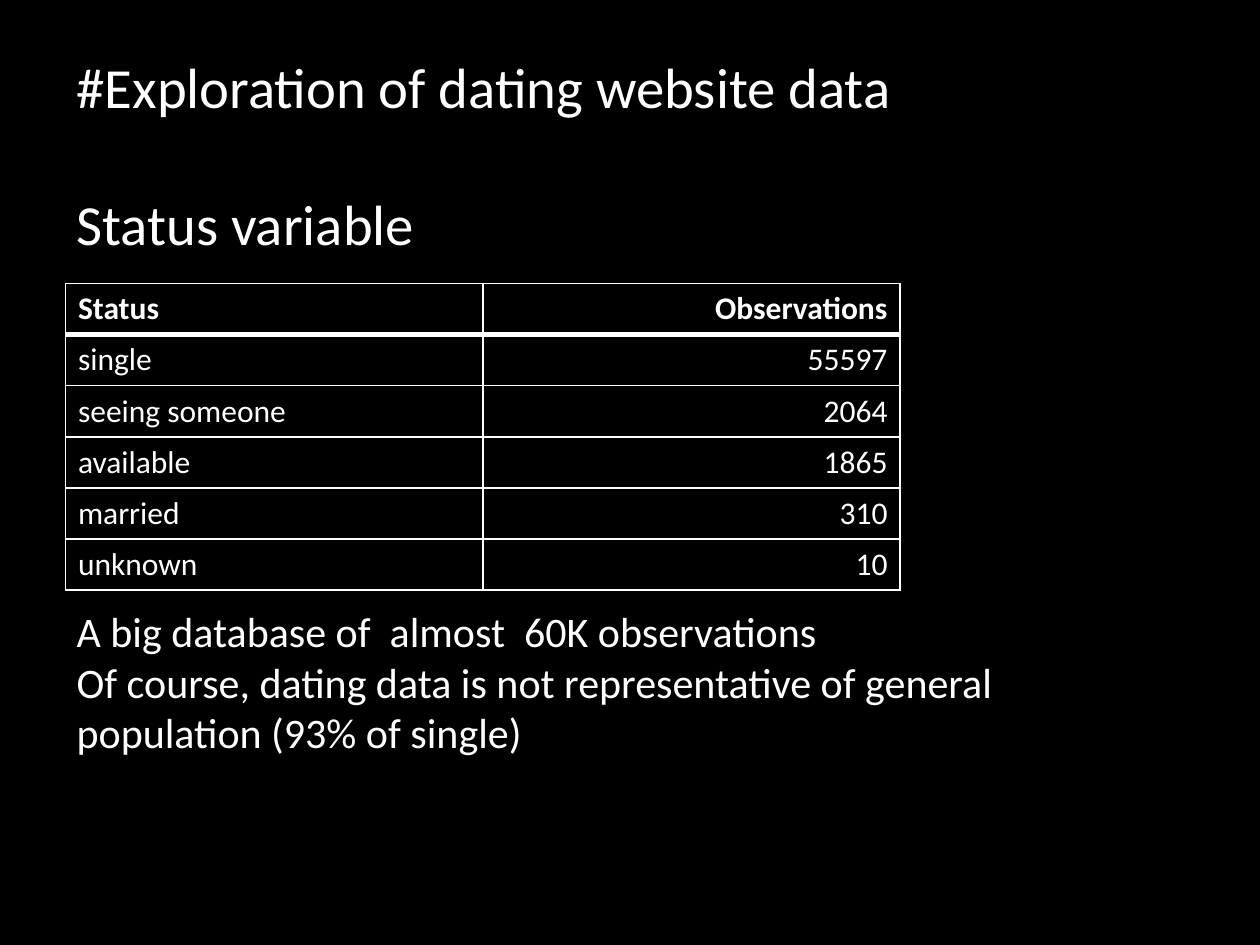
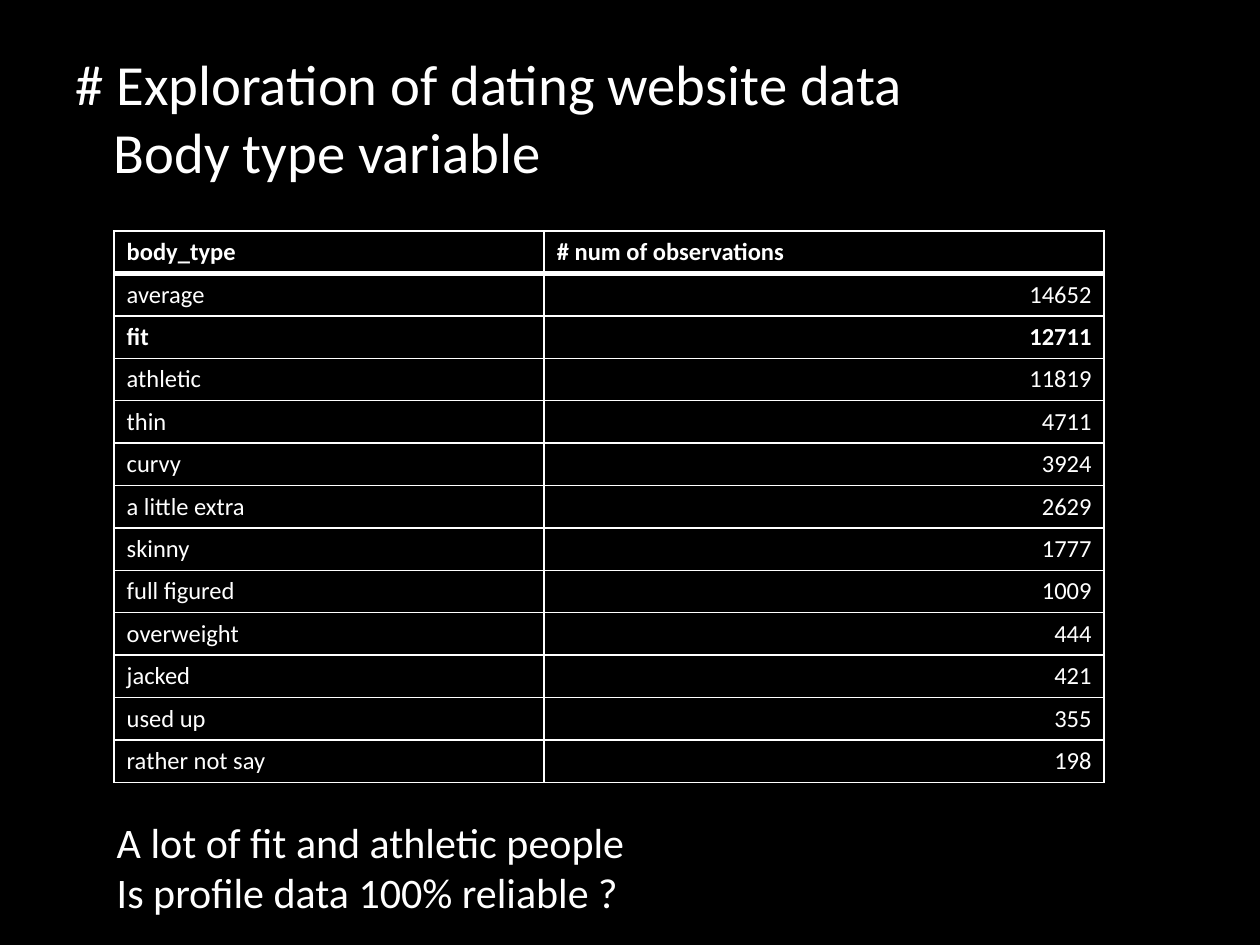
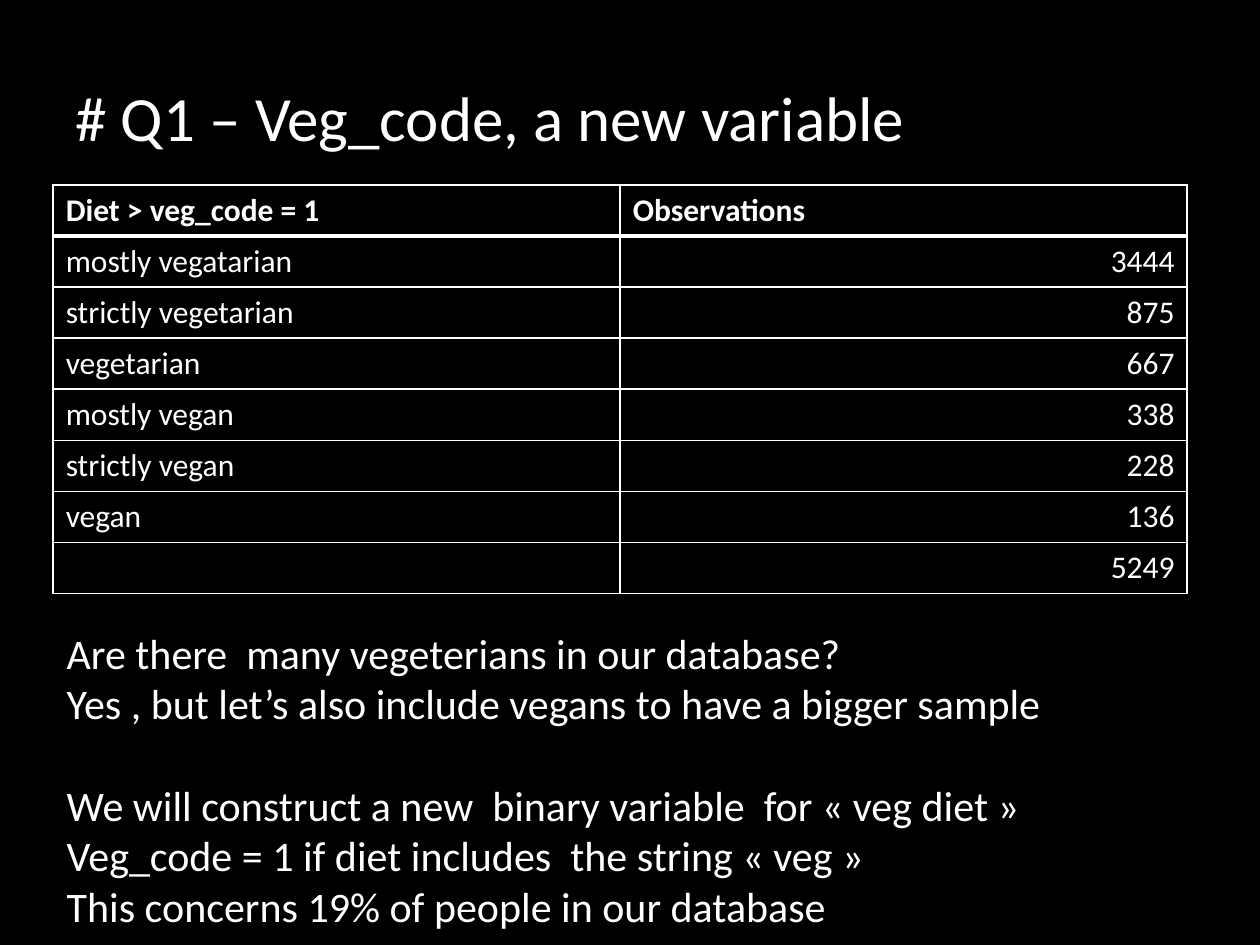
import pptx
import pptx.dml.color
import pptx.enum.text
import pptx.oxml.ns
import pptx.util
from lxml import etree

Pt = pptx.util.Pt
COLORS = {"background": "000000", "text": "FFFFFF", "rule": "FFFFFF"}
FONT = "Calibri"
NOTE_SIZE = 24
RULE, HEADER_RULE = 1, 3
LEFT, RIGHT = pptx.enum.text.PP_ALIGN.LEFT, pptx.enum.text.PP_ALIGN.RIGHT


def rgb(name):
    return pptx.dml.color.RGBColor.from_string(COLORS[name])


def style_paragraph(paragraph, size, bold=False, align=LEFT):
    paragraph.alignment = align
    for run in paragraph.runs:
        run.font.name = FONT
        run.font.size = Pt(size)
        run.font.bold = bold
        run.font.color.rgb = rgb("text")


def add_slide(prs):
    slide = prs.slides.add_slide(prs.slide_layouts[6])
    slide.background.fill.solid()
    slide.background.fill.fore_color.rgb = rgb("background")
    return slide


def add_lines(slide, box, lines, size, gap_before=None):
    """Add one paragraph per line; gap_before is the index of a line set one line lower."""
    frame = slide.shapes.add_textbox(*map(Pt, box)).text_frame
    frame.word_wrap = True
    frame.text = "\n".join(lines)
    for index, paragraph in enumerate(frame.paragraphs):
        style_paragraph(paragraph, size)
        if index == gap_before:
            paragraph.space_before = Pt(size * 1.22)
    return frame


def add_title(slide, left, top, lines, size=32.4, gap_before=None):
    title = add_lines(slide, (left, top, 648, 90), lines, size, gap_before)
    title.vertical_anchor = pptx.enum.text.MSO_ANCHOR.MIDDLE
    return title


def add_border(cell, side, width):
    line = etree.SubElement(cell._tc.get_or_add_tcPr(),
                            pptx.oxml.ns.qn("a:ln" + side), w=str(Pt(width)))
    fill = etree.SubElement(line, pptx.oxml.ns.qn("a:solidFill"))
    etree.SubElement(fill, pptx.oxml.ns.qn("a:srgbClr"), val=COLORS["rule"])


def add_counts(slide, left, top, widths, row_height, size, rows,
               header_align=LEFT, bold_rows=(0,)):
    """Add a table of labels and right-aligned counts under a heavy header rule."""
    table = slide.shapes.add_table(
        len(rows), len(widths), Pt(left), Pt(top),
        Pt(sum(widths)), Pt(row_height * len(rows))).table
    table.horz_banding = False
    for column, width in zip(table.columns, widths):
        column.width = Pt(width)
    for r, values in enumerate(rows):
        table.rows[r].height = Pt(row_height)
        for c, value in enumerate(values):
            cell = table.cell(r, c)
            cell.text = str(value)
            count_align = RIGHT if r else header_align
            style_paragraph(cell.text_frame.paragraphs[0], size,
                            r in bold_rows, count_align if c else LEFT)
            for side, heavy in (("L", False), ("R", False),
                                ("T", r == 1), ("B", r == 0)):
                add_border(cell, side, HEADER_RULE if heavy else RULE)
            cell.fill.solid()
            cell.fill.fore_color.rgb = rgb("background")


def build_status(prs):
    slide = add_slide(prs)
    add_title(slide, 36.7, 43.2,
              ["#Exploration of dating website data", "Status variable"], gap_before=1)
    add_counts(slide, 37.4, 162, (238.5, 238.5), 29.2, 18, [
        ("Status", "Observations"),
        ("single", 55597),
        ("seeing someone", 2064),
        ("available", 1865),
        ("married", 310),
        ("unknown", 10),
    ], header_align=RIGHT)
    add_lines(slide, (36.7, 342.7, 601, 94), [
        "A big database of  almost  60K observations",
        "Of course, dating data is not representative of general population (93% of single)",
    ], NOTE_SIZE)


def build_body_type(prs):
    slide = add_slide(prs)
    title = add_title(slide, 36, 21.6,
                      ["# Exploration of dating website data", "Body type variable"])
    title.paragraphs[1]._p.get_or_add_pPr().set("marL", str(Pt(22)))
    add_counts(slide, 65.2, 132, (245.8, 320), 24.25, 14, [
        ("body_type", "# num of observations"),
        ("average", 14652),
        ("fit", 12711),
        ("athletic", 11819),
        ("thin", 4711),
        ("curvy", 3924),
        ("a little extra", 2629),
        ("skinny", 1777),
        ("full figured", 1009),
        ("overweight", 444),
        ("jacked", 421),
        ("used up", 355),
        ("rather not say", 198),
    ], bold_rows=(0, 2))
    add_lines(slide, (59.6, 463, 580, 65.5), [
        "A lot of fit and athletic people",
        "Is profile data 100% reliable ?",
    ], NOTE_SIZE)


def build_veg_code(prs):
    slide = add_slide(prs)
    add_title(slide, 36, 21.6, ["# Q1 – Veg_code, a new variable"], size=36)
    add_counts(slide, 30.4, 105.6, (324, 324), 29.2, 18, [
        ("Diet > veg_code = 1", "Observations"),
        ("mostly vegatarian", 3444),
        ("strictly vegetarian", 875),
        ("vegetarian", 667),
        ("mostly vegan", 338),
        ("strictly vegan", 228),
        ("vegan", 136),
        ("", 5249),
    ])
    add_lines(slide, (31, 355, 672, 211), [
        "Are there  many vegeterians in our database?",
        "Yes , but let’s also include vegans to have a bigger sample",
        "We will construct a new  binary variable  for « veg diet »",
        "Veg_code = 1 if diet includes  the string « veg »",
        "This concerns 19% of people in our database",
    ], NOTE_SIZE, gap_before=2)


def main():
    prs = pptx.Presentation()
    prs.slide_width, prs.slide_height = Pt(720), Pt(540)
    build_status(prs)
    build_body_type(prs)
    build_veg_code(prs)
    prs.save("out.pptx")


if __name__ == "__main__":
    main()
